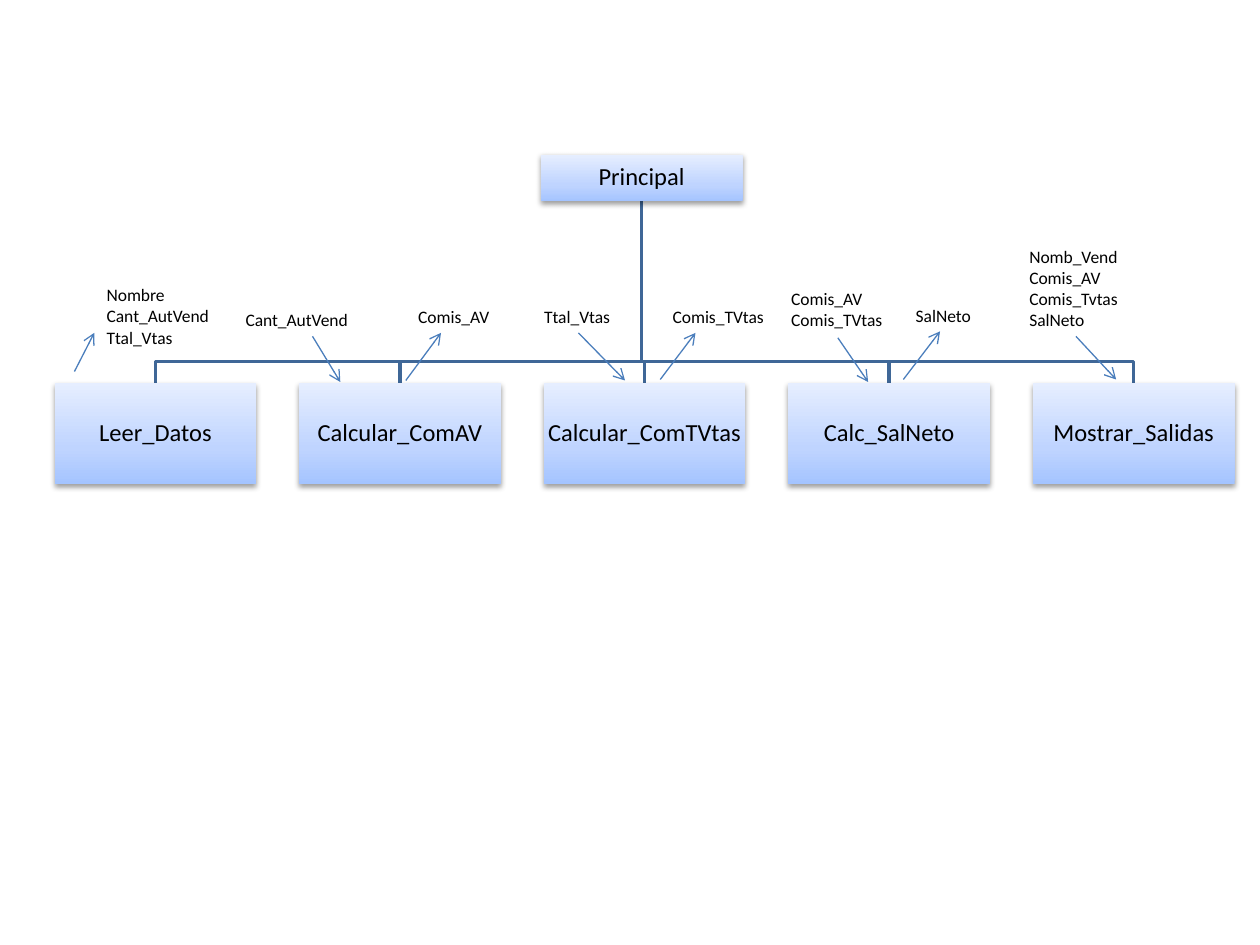
import pptx
import pptx.dml.color
import pptx.enum.shapes
import pptx.enum.text
import pptx.oxml
import pptx.oxml.ns
import pptx.util
from pptx.util import Cm

# Content: the main module, its submodules and the data passed between them
MAIN_MODULE = "Principal"
SUBMODULES = ["Leer_Datos", "Calcular_ComAV", "Calcular_ComTVtas",
              "Calc_SalNeto", "Mostrar_Salidas"]
# names, label (left, top, width) in cm, arrow (x1, y1, x2, y2) in cm
DATA_FLOWS = [
    (["Nombre", "Cant_AutVend", "Ttal_Vtas"], (1.9, 5.61, 3.2), (1.5, 7.49, 1.9, 6.71)),
    (["Cant_AutVend"], (4.7, 6.1, 3.2), (6.3, 6.78, 6.86, 7.7)),
    (["Comis_AV"], (8.18, 6.05, 2.29), (8.18, 7.67, 8.89, 6.71)),
    (["Ttal_Vtas"], (10.72, 6.05, 1.88), (11.66, 6.71, 12.6, 7.67)),
    (["Comis_TVtas"], (13.31, 6.05, 2.59), (13.31, 7.65, 14.02, 6.71)),
    (["Comis_AV", "Comis_TVtas"], (15.7, 5.69, 2.39), (16.89, 6.81, 17.5, 7.7)),
    (["SalNeto"], (18.21, 6.02, 1.68), (18.21, 7.65, 18.95, 6.68)),
    (["Nomb_Vend", "Comis_AV", "Comis_Tvtas", "SalNeto"], (20.5, 4.83, 2.39),
     (21.69, 6.78, 22.5, 7.65)),
]

THEME = {
    "font": "Calibri", "module_size": 14, "label_size": 10,
    "text": "000000", "branch": "3F6797", "arrow": "4B7EBC",
    "gradient": [(0, "A4C4FF"), (35, "BFD4FF"), (100, "E6EEFF")],
}

# Layout in cm
MODULE_WIDTH = 4.07
MAIN_LEFT, MAIN_TOP, MAIN_HEIGHT = 10.9, 3.12, 0.94
SUB_LEFT, SUB_TOP, SUB_HEIGHT, SUB_STEP = 1.1, 7.72, 2.04, 4.93
BUS_Y = 7.29
LABEL_PADDING, LABEL_LINE = 0.26, 0.43


def rgb(name):
    return pptx.dml.color.RGBColor.from_string(THEME[name])


def xml(text):
    return pptx.oxml.parse_xml(text.replace(" ", f" {pptx.oxml.ns.nsdecls('a')} ", 1))


def set_font(paragraph, size_name):
    paragraph.font.name = THEME["font"]
    paragraph.font.size = pptx.util.Pt(THEME[size_name])
    paragraph.font.color.rgb = rgb("text")


def add_branch(shapes, main_x, sub_x):
    points = [(main_x, MAIN_TOP + MAIN_HEIGHT), (main_x, BUS_Y),
              (sub_x, BUS_Y), (sub_x, SUB_TOP)]
    start, *rest = [(Cm(x), Cm(y)) for x, y in points]
    builder = shapes.build_freeform(*start)
    builder.add_line_segments(rest, close=False)
    branch = builder.convert_to_shape()
    branch.shadow.inherit = False
    branch.fill.background()
    branch.line.color.rgb = rgb("branch")
    branch.line.width = pptx.util.Pt(2)


def add_module(shapes, name, left, top, height):
    module = shapes.add_shape(pptx.enum.shapes.MSO_SHAPE.RECTANGLE,
                              Cm(left), Cm(top), Cm(MODULE_WIDTH), Cm(height))
    module.line.fill.background()
    # Three-stop gradient, darkest at the bottom
    module.fill.gradient()
    module.fill.gradient_angle = 90
    stops = module._element.spPr.find(".//" + pptx.oxml.ns.qn("a:gsLst"))
    stops.clear()
    for position, color in THEME["gradient"]:
        stops.append(xml(f'<a:gs pos="{position * 1000}"><a:srgbClr val="{color}"/></a:gs>'))
    # Soft shadow below
    module.shadow.inherit = False
    effects = module._element.spPr.find(pptx.oxml.ns.qn("a:effectLst"))
    effects.append(xml('<a:outerShdw blurRad="40000" dist="20000" dir="5400000" rotWithShape="0">'
                       '<a:srgbClr val="000000"><a:alpha val="38000"/></a:srgbClr></a:outerShdw>'))
    frame = module.text_frame
    frame.margin_left = frame.margin_right = frame.margin_top = frame.margin_bottom = Cm(0.02)
    frame.vertical_anchor = pptx.enum.text.MSO_ANCHOR.MIDDLE
    frame.text = name
    title = frame.paragraphs[0]
    title.alignment = pptx.enum.text.PP_ALIGN.CENTER
    title.line_spacing = 0.9
    set_font(title, "module_size")


def add_label(shapes, names, left, top, width):
    height = LABEL_PADDING + LABEL_LINE * len(names)
    frame = shapes.add_textbox(Cm(left), Cm(top), Cm(width), Cm(height)).text_frame
    frame.word_wrap = True
    frame.auto_size = pptx.enum.text.MSO_AUTO_SIZE.SHAPE_TO_FIT_TEXT
    frame.text = "\n".join(names)
    for paragraph in frame.paragraphs:
        set_font(paragraph, "label_size")


def add_arrow(shapes, ends):
    arrow = shapes.add_connector(pptx.enum.shapes.MSO_CONNECTOR.STRAIGHT,
                                 *[Cm(value) for value in ends])
    arrow.line.color.rgb = rgb("arrow")
    arrow.line.width = pptx.util.Pt(0.75)
    arrow.line._get_or_add_ln().append(xml('<a:tailEnd type="arrow"/>'))
    arrow._element.spPr.append(xml("<a:effectLst />"))


def main():
    deck = pptx.Presentation()
    deck.slide_width, deck.slide_height = Cm(25.4), Cm(19.05)
    shapes = deck.slides.add_slide(deck.slide_layouts[6]).shapes

    # Branches, behind the modules
    sub_lefts = [SUB_LEFT + SUB_STEP * i for i in range(len(SUBMODULES))]
    for left in reversed(sub_lefts):
        add_branch(shapes, MAIN_LEFT + MODULE_WIDTH / 2, left + MODULE_WIDTH / 2)

    # Modules
    add_module(shapes, MAIN_MODULE, MAIN_LEFT, MAIN_TOP, MAIN_HEIGHT)
    for name, left in zip(SUBMODULES, sub_lefts):
        add_module(shapes, name, left, SUB_TOP, SUB_HEIGHT)

    # Data passed in and out
    for names, label, arrow in DATA_FLOWS:
        add_label(shapes, names, *label)
        add_arrow(shapes, arrow)

    deck.save("out.pptx")


if __name__ == "__main__":
    main()
